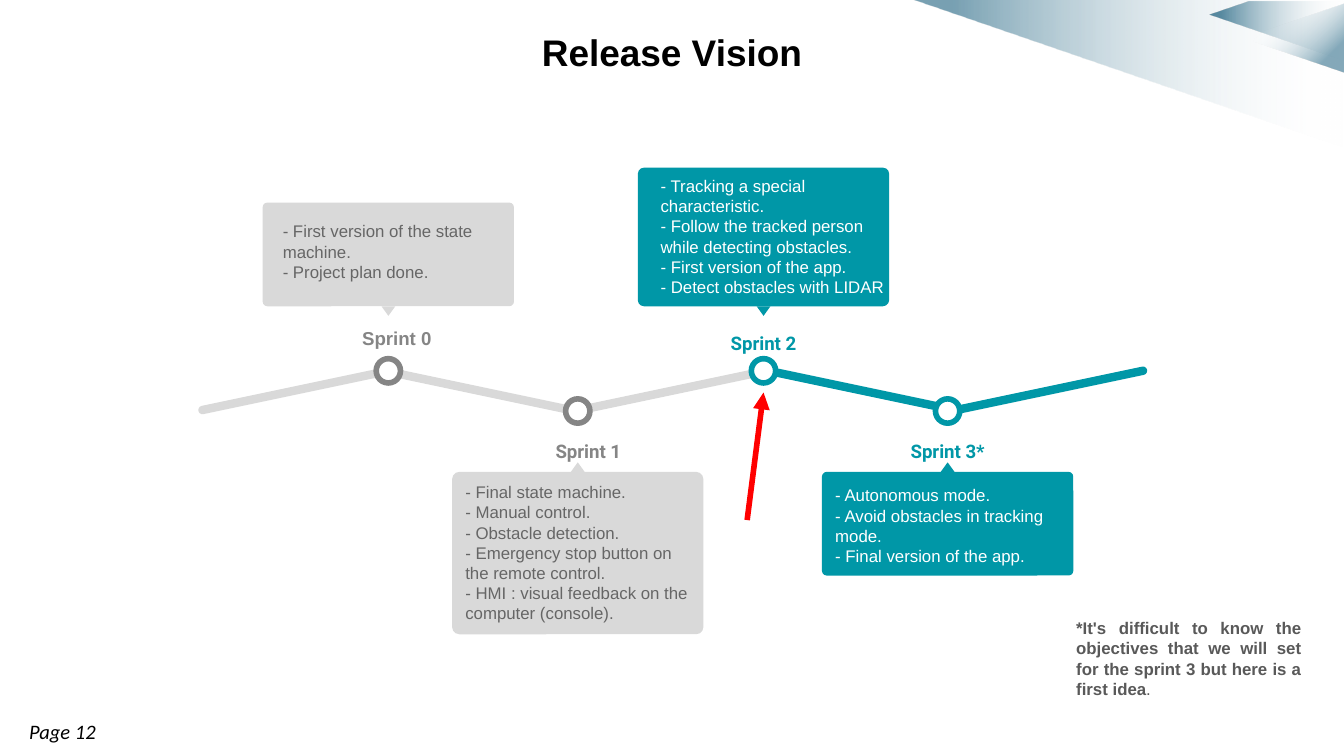
from dataclasses import dataclass

from lxml import etree
from pptx import Presentation
from pptx.dml.color import RGBColor
from pptx.enum import shapes, text
from pptx.oxml import ns, parse_xml
from pptx.util import Cm, Pt


@dataclass(frozen=True)
class Theme:
    done: str = "D9D9D9"
    done_accent: str = "858585"
    done_text: str = "666666"
    planned: str = "0097A7"
    white: str = "FFFFFF"
    black: str = "000000"
    note: str = "595959"
    arrow: str = "FF0000"
    decor: str = "004D6F"
    title_size: float = 19.8
    page_size: float = 11
    label_size: float = 10
    body_size: float = 9


@dataclass(frozen=True)
class Sprint:
    label: str
    label_font: str
    label_shift: float
    node_x: float
    above: bool
    done: bool
    card_height: float
    text_offset: tuple
    goals: tuple


THEME = Theme()
CARD_WIDTH = 4.75
BAR_TILT = 11.9
SPRINTS = (
    Sprint("Sprint 0", "Arial", 0.16, 7.34, True, True, 1.96, (0.13, 0.1),
           ("- First version of the state machine.", "- Project plan done.")),
    Sprint("Sprint 1", "Roboto", 0.2, 10.92, False, True, 3.07, (0, -0.06),
           ("- Final state machine.", "- Manual control.", "- Obstacle detection.",
            "- Emergency stop button on the remote control.",
            "- HMI : visual feedback on the computer (console).")),
    Sprint("Sprint 2", "Roboto", 0, 14.43, True, False, 2.62, (0.18, -0.1),
           ("- Tracking a special characteristic.",
            "- Follow the tracked person while detecting obstacles.",
            "- First version of the app.", "- Detect obstacles with LIDAR")),
    Sprint("Sprint 3*", "Roboto", 0, 17.91, False, False, 1.96, (0, 0),
           ("- Autonomous mode.", "- Avoid obstacles in tracking mode.",
            "- Final version of the app.")),
)
# Centre x, length and colour of each bar of the zigzag
BARS = ((5.59, 3.76, THEME.done), (9.02, 3.56, THEME.done), (12.73, 3.76, THEME.done),
        (16.28, 3.76, THEME.planned), (19.84, 3.76, THEME.planned))


def rgb(colour):
    return RGBColor.from_string(colour)


def add_block(slide, kind, box, fill, rotation=0):
    block = slide.shapes.add_shape(kind, *map(Cm, box))
    block.shadow.inherit = False
    block.fill.solid()
    block.fill.fore_color.rgb = rgb(fill)
    block.line.fill.background()
    block.rotation = rotation
    return block


def add_words(slide, box, lines, font, size, colour, bold=False, italic=False,
              align=None, spacing=None, inset_y=0.25):
    frame = slide.shapes.add_textbox(*map(Cm, box)).text_frame
    frame.word_wrap = True
    frame.margin_left = frame.margin_right = Cm(0.25)
    frame.margin_top = frame.margin_bottom = Cm(inset_y)
    frame.text = "\n".join(lines)
    for paragraph in frame.paragraphs:
        paragraph.alignment = align
        paragraph.line_spacing = spacing
        for run in paragraph.runs:
            run.font.name, run.font.size = font, Pt(size)
            run.font.bold, run.font.italic = bold, italic
            run.font.color.rgb = rgb(colour)
    return frame


def set_fade(shape, stops, angle):
    """Fill with a linear gradient of (position, colour, opacity) stops, in percent."""
    marks = "".join(
        f'<a:gs pos="{position * 1000}"><a:srgbClr val="{colour}">'
        f'<a:alpha val="{opacity * 1000}"/></a:srgbClr></a:gs>'
        for position, colour, opacity in stops)
    fade = parse_xml(
        f'<a:gradFill rotWithShape="1" {ns.nsdecls("a")}><a:gsLst>{marks}</a:gsLst>'
        f'<a:lin ang="{angle * 60000}" scaled="0"/></a:gradFill>')
    solid = shape.fill._xPr.find(ns.qn("a:solidFill"))
    solid.getparent().replace(solid, fade)


def add_corner(slide, right):
    """Fading wedges in the top corner that ends at the given right edge."""
    wedges = (
        (((-8.15, 0), (0, 0), (0, 2.79)), 53),
        (((-2.54, 0.28), (-1.8, 0.03), (0, 0.03), (0, 1.14)), 63),
    )
    for outline, opacity in wedges:
        points = [(Cm(right + x), Cm(y)) for x, y in outline]
        builder = slide.shapes.build_freeform(*points[0])
        builder.add_line_segments(points[1:], close=True)
        wedge = builder.convert_to_shape()
        wedge.shadow.inherit = False
        wedge.line.fill.background()
        wedge.fill.solid()
        set_fade(wedge, ((0, THEME.decor, opacity), (9, THEME.decor, opacity),
                         (100, THEME.white, 0)), 0)
    tip = add_block(slide, shapes.MSO_SHAPE.ISOSCELES_TRIANGLE,
                    (right - 1.6, -0.23, 1.3, 1.9), THEME.decor, 270)
    set_fade(tip, ((0, THEME.white, 0), (27, THEME.white, 0),
                   (81, THEME.decor, 48), (100, THEME.decor, 48)), 135)


def add_zigzag(slide, middle):
    thickness = 0.16
    for index, (centre, length, colour) in enumerate(BARS):
        tilt = BAR_TILT if index % 2 else -BAR_TILT
        bar = add_block(slide, shapes.MSO_SHAPE.ROUNDED_RECTANGLE,
                        (centre - length / 2, middle - thickness / 2, length, thickness),
                        colour, tilt)
        bar.adjustments[0] = 0.5


def add_sprint(slide, sprint, middle):
    """Node, label, card and pointer, above or below the middle of the zigzag."""
    fill = THEME.done if sprint.done else THEME.planned
    accent = THEME.done_accent if sprint.done else THEME.planned
    body = THEME.done_text if sprint.done else THEME.white
    node_y = middle + (-0.37 if sprint.above else 0.39)
    label_top = middle + (-1.41 if sprint.above else 0.62)
    pointer_top = middle + (-1.59 if sprint.above else 1.36)
    card_top = middle + (-1.59 - sprint.card_height if sprint.above else 1.54)
    card_left = sprint.node_x - CARD_WIDTH / 2

    node = add_block(slide, shapes.MSO_SHAPE.OVAL,
                     (sprint.node_x - 0.23, node_y - 0.23, 0.46, 0.46), THEME.white)
    node.line.color.rgb = rgb(accent)
    node.line.width = Pt(3)
    add_words(slide, (sprint.node_x + sprint.label_shift - 1.15, label_top, 2.3, 0.76),
              [sprint.label], sprint.label_font, THEME.label_size, accent, bold=True,
              align=text.PP_ALIGN.CENTER,
              spacing=1.15 if sprint.label_font == "Roboto" else None)
    card = add_block(slide, shapes.MSO_SHAPE.ROUNDED_RECTANGLE,
                     (card_left, card_top, CARD_WIDTH, sprint.card_height), fill)
    card.adjustments[0] = 0.045
    add_block(slide, shapes.MSO_SHAPE.ISOSCELES_TRIANGLE,
              (sprint.node_x - 0.13, pointer_top, 0.26, 0.18), fill,
              180 if sprint.above else 0)
    shift_x, shift_y = sprint.text_offset
    add_words(slide, (card_left + shift_x, card_top + shift_y, CARD_WIDTH, sprint.card_height),
              sprint.goals, "Arial", THEME.body_size, body)


def add_current_arrow(slide, start, end):
    arrow = slide.shapes.add_connector(shapes.MSO_CONNECTOR.STRAIGHT,
                                       *map(Cm, (*start, *end)))
    arrow.line.color.rgb = rgb(THEME.arrow)
    arrow.line.width = Pt(3)
    etree.SubElement(arrow.line._get_or_add_ln(), ns.qn("a:tailEnd"), type="triangle")
    etree.SubElement(arrow._element.spPr, ns.qn("a:effectLst"))


def add_note(slide, box):
    note = add_words(slide, box,
                     ["*It's difficult to know the objectives that we will set "
                      "for the sprint 3 but here is a first idea"],
                     "Arial", THEME.body_size, THEME.note, bold=True,
                     align=text.PP_ALIGN.JUSTIFY)
    stop = note.paragraphs[0].add_run()
    stop.text = "."
    stop.font.name, stop.font.size = "Arial", Pt(THEME.body_size)
    stop.font.color.rgb = rgb(THEME.note)


def main():
    deck = Presentation()
    deck.slide_width, deck.slide_height = Cm(25.4), Cm(14.29)
    slide = deck.slides.add_slide(deck.slide_layouts[6])
    zigzag_middle = 7.38

    add_corner(slide, 25.4)
    add_words(slide, (0.3, 13.46, 6.8, 0.74), ["Page 12"], "Calibri", THEME.page_size,
              THEME.black, italic=True, inset_y=0.13)
    add_words(slide, (6.3, 0.3, 12.8, 0.9), ["Release Vision"], "Arial", THEME.title_size,
              THEME.black, bold=True, align=text.PP_ALIGN.CENTER, spacing=1.15, inset_y=0.13)
    add_zigzag(slide, zigzag_middle)
    for sprint in SPRINTS:
        add_sprint(slide, sprint, zigzag_middle)
    add_note(slide, (20.09, 11.43, CARD_WIDTH, 1.6))
    add_current_arrow(slide, (14.12, 9.83), (14.43, 7.42))
    deck.save("out.pptx")


if __name__ == "__main__":
    main()
